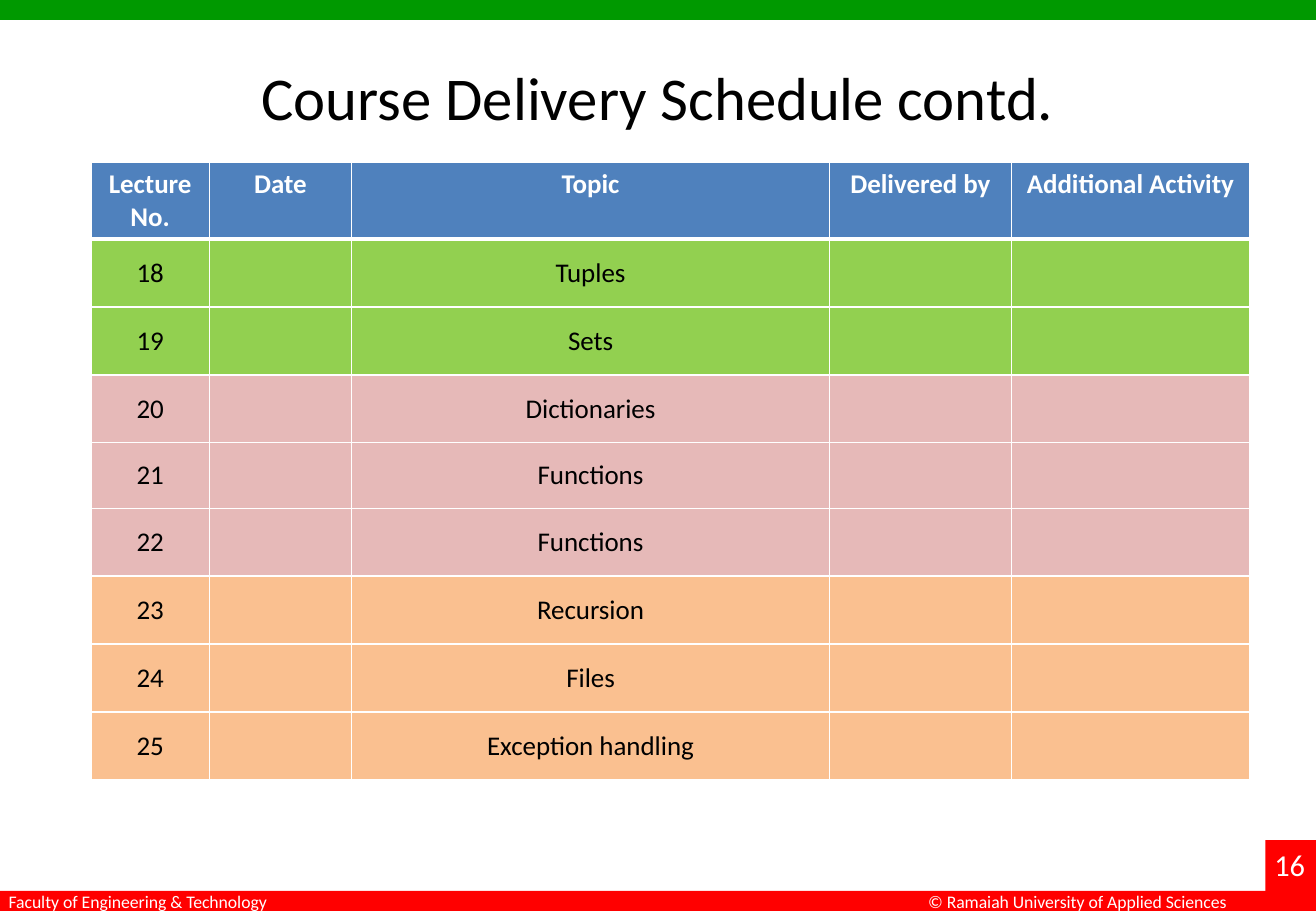
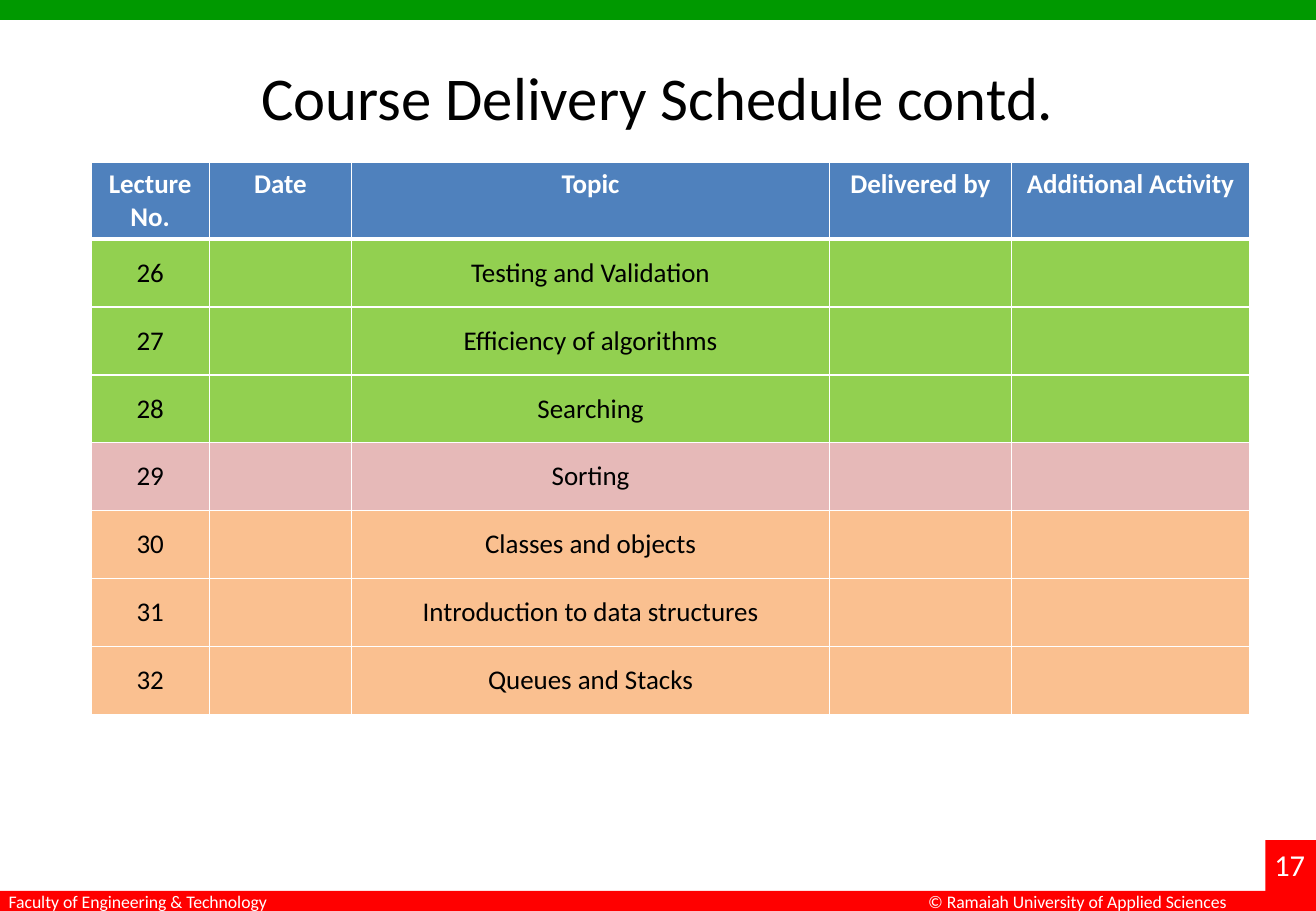
from lxml.etree import SubElement
from pptx import Presentation
from pptx.dml.color import RGBColor
from pptx.enum.shapes import MSO_SHAPE as Shape
from pptx.enum.text import MSO_ANCHOR as Anchor, PP_ALIGN as Align
from pptx.oxml.ns import qn
from pptx.util import Cm, Pt

WIDTH, HEIGHT = 27.52, 19.05
BAND = 0.42
COLORS = {
    "white": "FFFFFF",
    "black": "000000",
    "top": "009900",
    "bottom": "FF0000",
    "header": "4F81BD",
    "green": "92D050",
    "pink": "E6B9B8",
    "orange": "FAC090",
}
HEADINGS = ["Lecture No.", "Date", "Topic", "Delivered by", "Additional Activity"]
COLUMN_WIDTHS = [2.48, 2.97, 10, 3.8, 4.98]
HEADER_HEIGHT, ROW_HEIGHT = 1.55, 1.42
SHORT_ROWS = {21: 1.37}
SCHEDULES = [
    (16, 18, [
        ("Tuples", "green"),
        ("Sets", "green"),
        ("Dictionaries", "pink"),
        ("Functions", "pink"),
        ("Functions", "pink"),
        ("Recursion", "orange"),
        ("Files", "orange"),
        ("Exception handling", "orange"),
    ]),
    (17, 26, [
        ("Testing and Validation", "green"),
        ("Efficiency of algorithms", "green"),
        ("Searching", "green"),
        ("Sorting", "pink"),
        ("Classes and objects", "orange"),
        ("Introduction to data structures", "orange"),
        ("Queues and Stacks", "orange"),
    ]),
]


def rgb(name):
    return RGBColor.from_string(COLORS[name])


class ScheduleDeck:
    font = "Calibri"

    def __init__(self):
        self.deck = Presentation()
        self.deck.slide_width, self.deck.slide_height = Cm(WIDTH), Cm(HEIGHT)
        self.page = None

    def add_page(self, title, number):
        self.page = self.deck.slides.add_slide(self.deck.slide_layouts[6])
        self.add_band(0, 0, WIDTH, BAND, "top")
        self.add_band(0, HEIGHT - BAND, WIDTH, BAND, "bottom")
        self.add_band(26.46, 17.57, WIDTH - 26.46, HEIGHT - 17.57, "bottom")
        self.add_text(26.65, 17.7, 0.85, 0.8, str(number), 18)
        self.add_text(0.18, 18.62, 5.6, 0.43, "Faculty of Engineering & Technology", 10.5)
        self.add_text(19.41, 18.62, 6.5, 0.43, "© Ramaiah University of Applied Sciences", 10.5)
        self.add_text(1.37, 1.25, 24.77, 1.5, title, 36, "black", Align.CENTER)

    def add_band(self, left, top, width, height, color):
        band = self.page.shapes.add_shape(
            Shape.RECTANGLE, Cm(left), Cm(top), Cm(width), Cm(height))
        band.shadow.inherit = False
        band.fill.solid()
        band.fill.fore_color.rgb = rgb(color)
        band.line.fill.background()

    def add_text(self, left, top, width, height, text, size, color="white", align=Align.LEFT):
        box = self.page.shapes.add_textbox(Cm(left), Cm(top), Cm(width), Cm(height))
        frame = box.text_frame
        frame.word_wrap = True
        frame.margin_left = frame.margin_right = frame.margin_top = frame.margin_bottom = 0
        self.set_text(frame.paragraphs[0], text, size, color, align)

    def set_text(self, para, text, size, color, align, bold=False):
        para.text = text
        para.alignment = align
        para.font.name = self.font
        para.font.size = Pt(size)
        para.font.bold = bold
        para.font.color.rgb = rgb(color)

    def add_schedule(self, first_lecture, topics):
        table = self.page.shapes.add_table(
            len(topics) + 1, len(HEADINGS), Cm(1.9), Cm(3.39), Cm(sum(COLUMN_WIDTHS)),
            Cm(HEADER_HEIGHT + ROW_HEIGHT * len(topics))).table
        for column, width in zip(table.columns, COLUMN_WIDTHS):
            column.width = Cm(width)
        table.rows[0].height = Cm(HEADER_HEIGHT)
        for cell, heading in zip(table.rows[0].cells, HEADINGS):
            self.fill_cell(cell, heading, "header", is_header=True)
        for index, (topic, color) in enumerate(topics):
            lecture = first_lecture + index
            row = table.rows[index + 1]
            row.height = Cm(SHORT_ROWS.get(lecture, ROW_HEIGHT))
            for cell, text in zip(row.cells, [str(lecture), "", topic, "", ""]):
                self.fill_cell(cell, text, color)

    def fill_cell(self, cell, text, color, is_header=False):
        borders = {"lnL": 1, "lnR": 1, "lnB": 1}
        if is_header:
            borders = {"lnL": 1, "lnR": 1, "lnT": 1, "lnB": 3}
        properties = cell._tc.get_or_add_tcPr()
        for side, points in borders.items():
            line = SubElement(properties, qn(f"a:{side}"), w=str(Pt(points)))
            solid = SubElement(line, qn("a:solidFill"))
            SubElement(solid, qn("a:srgbClr"), val=COLORS["white"])
        cell.fill.solid()
        cell.fill.fore_color.rgb = rgb(color)
        cell.vertical_anchor = Anchor.TOP if is_header else Anchor.MIDDLE
        self.set_text(cell.text_frame.paragraphs[0], text, 16,
                      "white" if is_header else "black", Align.CENTER, is_header)


def main():
    schedule = ScheduleDeck()
    for number, first_lecture, topics in SCHEDULES:
        schedule.add_page("Course Delivery Schedule contd.", number)
        schedule.add_schedule(first_lecture, topics)
    schedule.deck.save("out.pptx")


if __name__ == "__main__":
    main()
